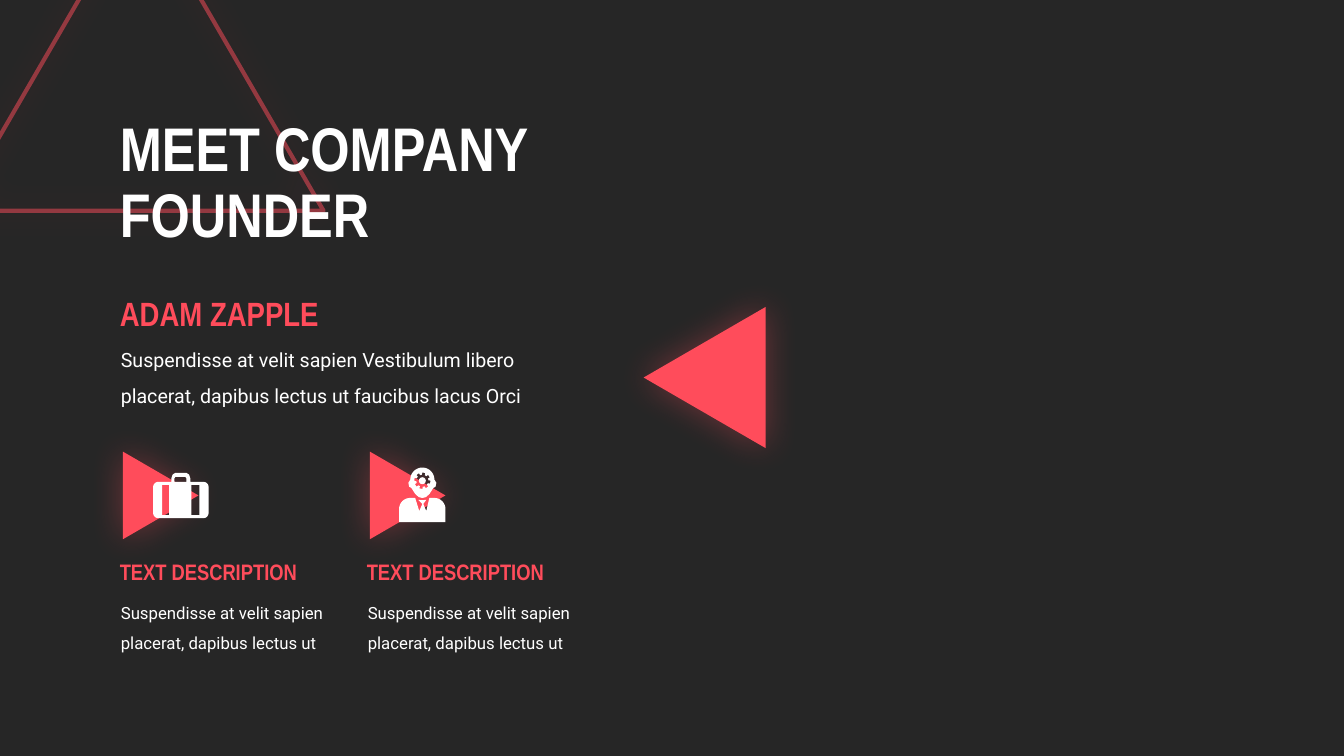
import math

import lxml.etree
import pptx
import pptx.dml.color
import pptx.enum.shapes
import pptx.enum.text
import pptx.oxml.ns
import pptx.util

Pt = pptx.util.Pt
qn = pptx.oxml.ns.qn
DARK = pptx.dml.color.RGBColor(0x26, 0x26, 0x26)
CORAL = pptx.dml.color.RGBColor(0xFF, 0x4C, 0x5B)
WHITE = pptx.dml.color.RGBColor(0xFF, 0xFF, 0xFF)
HEADING_FONT = "Arial Narrow"
BODY_FONT = "Roboto"
COLUMN_PITCH = 176.4


def set_alpha(color_element, percent):
    alpha = lxml.etree.SubElement(color_element, qn("a:alpha"))
    alpha.set("val", str(percent * 1000))


def add_glow(sp):
    """Give the shape a centred, blurred coral shadow."""
    sp.shadow.inherit = False
    effects = sp._element.spPr.find(qn("a:effectLst"))
    shadow = lxml.etree.SubElement(effects, qn("a:outerShdw"))
    for name, value in (("blurRad", Pt(25)), ("dist", 0), ("dir", 0),
                        ("algn", "ctr"), ("rotWithShape", 0)):
        shadow.set(name, str(int(value)) if name != "algn" else value)
    color = lxml.etree.SubElement(shadow, qn("a:srgbClr"))
    color.set("val", str(CORAL))
    set_alpha(color, 35)


def fill_plain(sp, color):
    sp.fill.solid()
    sp.fill.fore_color.rgb = color
    sp.line.fill.background()
    sp.shadow.inherit = False


def add_triangle(s, left, top, width, height, rotation=0, outlined=False):
    kind = pptx.enum.shapes.MSO_SHAPE.ISOSCELES_TRIANGLE
    sp = s.shapes.add_shape(kind, Pt(left), Pt(top), Pt(width), Pt(height))
    sp.rotation = rotation
    if outlined:
        sp.fill.background()
        sp.line.color.rgb = CORAL
        sp.line.width = Pt(3)
        set_alpha(sp.line._ln.find(".//" + qn("a:srgbClr")), 50)
    else:
        fill_plain(sp, CORAL)
    add_glow(sp)


def add_text(s, box, lines, size, font, color, bold=False, spacing=1.0,
             anchor=pptx.enum.text.MSO_ANCHOR.TOP):
    tf = s.shapes.add_textbox(*[Pt(v) for v in box]).text_frame
    tf.word_wrap = True
    tf.vertical_anchor = anchor
    p = tf.paragraphs[0]
    p.line_spacing = spacing
    for i, line in enumerate(lines):
        if i:
            p.add_line_break()
        r = p.add_run()
        r.text = line
        r.font.size = Pt(size)
        r.font.name = font
        r.font.bold = bold
        r.font.color.rgb = color


def arc(cx, cy, radius, start, end, steps=10):
    angles = [math.radians(start + (end - start) * i / steps)
              for i in range(steps + 1)]
    return [(cx + radius * math.cos(a), cy + radius * math.sin(a))
            for a in angles]


def round_rect(left, top, right, bottom, radius):
    centers = ((left + radius, top + radius), (right - radius, top + radius),
               (right - radius, bottom - radius), (left + radius, bottom - radius))
    points = []
    for i, (cx, cy) in enumerate(centers):
        points += arc(cx, cy, radius, 180 + 90 * i, 270 + 90 * i, 5)
    return points


def rect(left, top, right, bottom):
    return [(left, top), (right, top), (right, bottom), (left, bottom)]


def add_outline(s, left, top, contours):
    """Draw closed contours as one white shape; inner contours are holes."""
    builder = None
    for contour in contours:
        points = [(Pt(left + x), Pt(top + y)) for x, y in contour]
        if builder is None:
            builder = s.shapes.build_freeform(*points[0])
        else:
            builder.move_to(*points[0])
        builder.add_line_segments(points[1:], close=True)
    fill_plain(builder.convert_to_shape(), WHITE)


def add_suitcase(s, left, top):
    handle = [(13, 6.5), (13, 4), (14, 1.2), (16, 0), (23.6, 0), (25.6, 1.2),
              (26.6, 4), (26.6, 6.5), (23.8, 6.5), (23.8, 4), (23, 2.9),
              (16, 2.9), (15.1, 4), (15.1, 6.5)]
    add_outline(s, left, top, [round_rect(0, 6.5, 39.6, 32.4, 3.6), handle,
                               rect(6.5, 8.6, 11.5, 30.2),
                               rect(27.4, 8.6, 33.1, 30.2)])


def add_thinker(s, left, top):
    # Shoulders with collar and tie cut out
    collar = [(21.6, 21.6), (19.4, 31), (17.3, 25.9), (19.4, 23), (16.6, 23.2),
              (13.7, 23), (16.6, 25.9), (14.4, 31), (11.5, 21.6)]
    add_outline(s, left, top, [collar + arc(7.9, 29.5, 7.9, 270, 180)
                               + [(0, 38.9), (33.1, 38.9)]
                               + arc(25.2, 29.5, 7.9, 0, -90)])
    # Head with a gear-shaped hole
    cx, cy = 16.6, 9.3
    face = arc(cx, 8.5, 8.6, 180, 360, 20) + [
        (26.6, 10.8), (26, 13.6), (24.5, 14.4), (21.7, 18.7), (19.2, 21),
        (cx, 21.6), (14, 21), (11.5, 18.7), (8.7, 14.4), (7.2, 13.6), (6.6, 10.8)]
    gear = []
    for tooth in range(8):
        middle = 45 * tooth + 10
        gear += arc(cx, cy, 5.8, middle - 11, middle + 11, 2)
        gear += arc(cx, cy, 4.3, middle + 14, middle + 31, 2)
    add_outline(s, left, top, [face, gear])
    hub = s.shapes.add_shape(pptx.enum.shapes.MSO_SHAPE.OVAL, Pt(left + cx - 2.5),
                             Pt(top + cy - 2.5), Pt(5), Pt(5))
    fill_plain(hub, WHITE)


def add_column(s, offset):
    add_triangle(s, 83.5 + offset, 326.9, 62.6, 54, rotation=90)
    add_text(s, (79.2 + offset, 419.8, 167, 48.2),
             ["Suspendisse at velit sapien placerat, dapibus lectus ut"],
             12, BODY_FONT, WHITE, spacing=1.5)
    add_text(s, (78.5 + offset, 395.3, 159, 26.6), ["TEXT DESCRIPTION"],
             16, HEADING_FONT, CORAL, bold=True)


def main():
    prs = pptx.Presentation()
    prs.slide_width, prs.slide_height = Pt(960), Pt(540)
    s = prs.slides.add_slide(prs.slide_layouts[6])
    s.background.fill.solid()
    s.background.fill.fore_color.rgb = DARK

    # Decorative triangle and title
    add_triangle(s, -31, -75.6, 262.1, 226.1, outlined=True)
    add_text(s, (78.5, 74.9, 404.6, 113.8), ["MEET COMPANY", "FOUNDER"], 44,
             HEADING_FONT, WHITE, bold=True, spacing=0.9,
             anchor=pptx.enum.text.MSO_ANCHOR.MIDDLE)
    add_triangle(s, 452.9, 226.1, 100.8, 87.1, rotation=270)

    # Founder
    add_text(s, (79.2, 236.9, 324.7, 55.4),
             ["Suspendisse at velit sapien Vestibulum libero placerat, "
              "dapibus lectus ut faucibus lacus Orci"],
             14, BODY_FONT, WHITE, spacing=1.5)
    add_text(s, (78.5, 205.9, 176.4, 36), ["ADAM ZAPPLE"], 24,
             HEADING_FONT, CORAL, bold=True)

    # Two descriptions with icons
    for column, add_icon, icon_left, icon_top in (
            (0, add_suitcase, 109.4, 337.7), (1, add_thinker, 285.1, 334.1)):
        add_column(s, column * COLUMN_PITCH)
        add_icon(s, icon_left, icon_top)

    prs.save("out.pptx")


if __name__ == "__main__":
    main()
